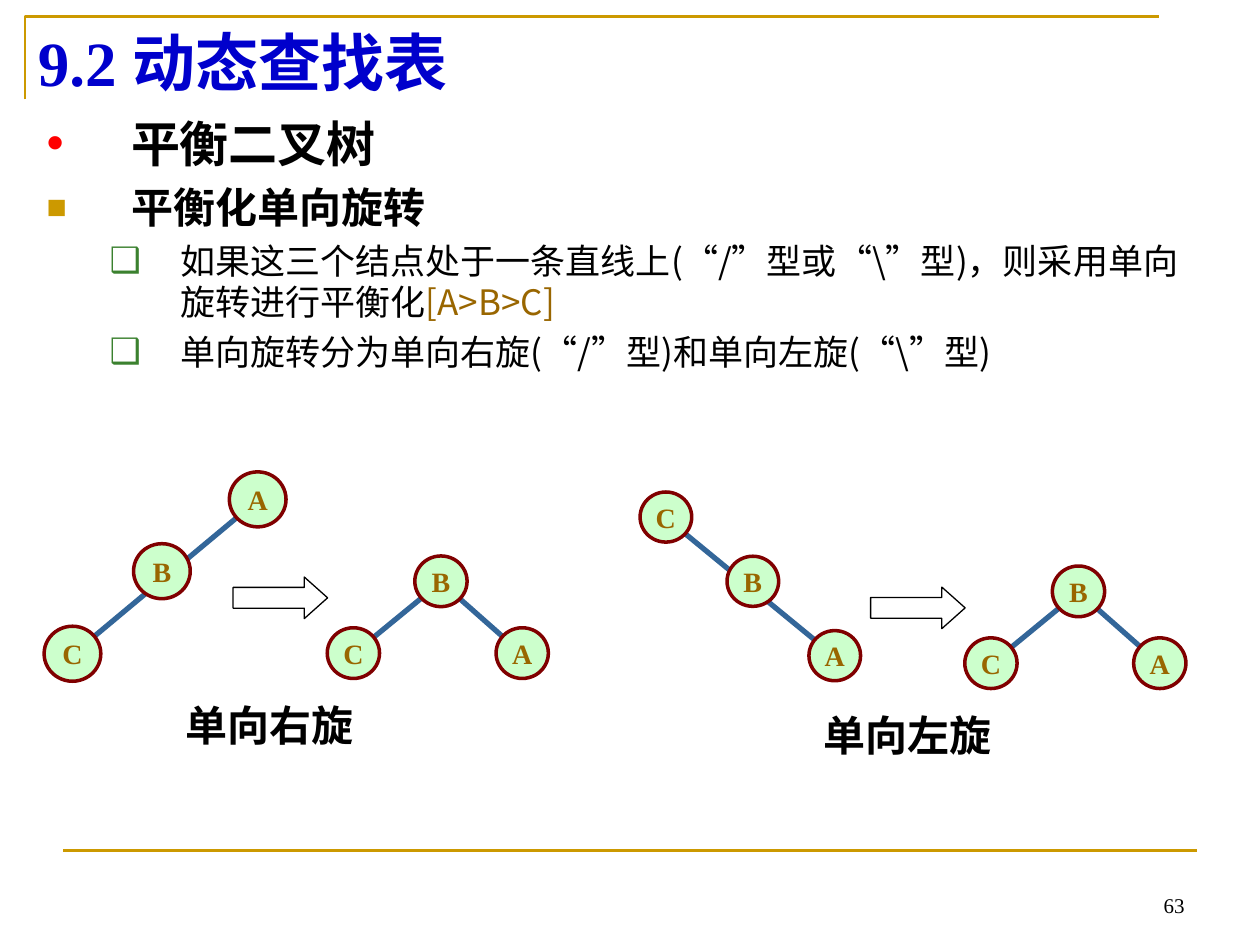
import itertools
import math

import lxml.etree
import pptx
import pptx.dml.color
import pptx.enum.shapes
import pptx.enum.text
import pptx.oxml.ns
import pptx.util

COLORS = {"gold": "CC9900", "black": "000000", "title": "0000CC", "red": "FF0000",
          "green": "3B812F", "brown": "996600", "edge": "336699",
          "node": "CCFFCC", "ring": "800000"}
CJK, SERIF = "Noto Sans CJK SC", "Times New Roman"
SHAPES = pptx.enum.shapes.MSO_SHAPE
ALIGN = pptx.enum.text.PP_ALIGN
ANCHOR = pptx.enum.text.MSO_ANCHOR
COLUMNS, ROWS = 100, 75


def grid(*cells):
    """Convert grid cells of a tenth of an inch to lengths."""
    return [pptx.util.Inches(cell / 10) for cell in cells]


def rgb(name):
    """Return the named colour."""
    return pptx.dml.color.RGBColor.from_string(COLORS[name])


def add_xml(parent, tag, **attributes):
    """Append a drawing element and return it."""
    return lxml.etree.SubElement(parent, pptx.oxml.ns.qn(tag), attributes)


def style(para, size, color, name, bold=True, align=ALIGN.LEFT):
    """Format a whole paragraph."""
    para.alignment = align
    para.font.size = pptx.util.Pt(size)
    para.font.bold = bold
    para.font.color.rgb = rgb(color)
    para.font.name = name
    properties = para._p.get_or_add_pPr().find(pptx.oxml.ns.qn("a:defRPr"))
    add_xml(properties, "a:ea", typeface=CJK)


def outline(shape, color, width):
    """Give a shape a plain line without shadow."""
    shape.line.color.rgb = rgb(color)
    shape.line.width = pptx.util.Pt(width)


def add_line(page, start, end, color, width):
    """Draw a straight line between two grid points."""
    line = page.shapes.add_connector(
        pptx.enum.shapes.MSO_CONNECTOR.STRAIGHT, *grid(*start, *end))
    outline(line, color, width)
    add_xml(line._element.spPr, "a:effectLst")


def add_label(page, box, text, anchor, **format):
    """Place a one-line text box."""
    frame = page.shapes.add_textbox(*grid(*box)).text_frame
    frame.word_wrap = True
    frame.vertical_anchor = anchor
    frame.text = text
    style(frame.paragraphs[0], **format)


def add_frame(page, left, top, width, height):
    """Draw the corner rule around the title and the rule above the footer."""
    corner, right, bottom = grid(left, top), grid(left + width)[0], grid(top + height)[0]
    builder = page.shapes.build_freeform(corner[0], bottom)
    builder.add_line_segments([tuple(corner), (right, corner[1])], close=False)
    rule = builder.convert_to_shape()
    rule.shadow.inherit = False
    rule.fill.background()
    outline(rule, "gold", 1.5)
    add_line(page, (5, 0.9 * ROWS), (COLUMNS - 5, 0.9 * ROWS), "gold", 1.5)


def place(holder, box, anchor):
    """Move a placeholder and return its text frame."""
    holder.left, holder.top, holder.width, holder.height = grid(*box)
    holder.text_frame.vertical_anchor = anchor
    holder.text_frame.auto_size = pptx.enum.text.MSO_AUTO_SIZE.NONE
    return holder.text_frame


def add_title(page, box, text):
    """Fill the title placeholder."""
    frame = place(page.shapes.title, box, ANCHOR.MIDDLE)
    frame.text = text
    style(frame.paragraphs[0], 36, "title", SERIF)


def add_bullet(para, char, color, scale, margin, hanging):
    """Give a paragraph its bullet and hanging indent."""
    properties = para._p.get_or_add_pPr()
    left, indent = grid(margin, -hanging)
    properties.set("marL", str(left))
    properties.set("indent", str(indent))
    add_xml(add_xml(properties, "a:buClr"), "a:srgbClr", val=COLORS[color])
    add_xml(properties, "a:buSzPct", val=str(scale * 1000))
    add_xml(properties, "a:buFont", typeface="Arial")
    add_xml(properties, "a:buChar", char=char)


def add_outline(page, box, items):
    """Fill the body placeholder with headings and points."""
    frame = place(page.placeholders[1], box, ANCHOR.TOP)
    kinds = {"topic": (0, 28, 0, ("•", "red", 100, 6.7, 6.7)),
             "heading": (0, 24, 6, ("■", "gold", 80, 6.7, 6.7)),
             "point": (1, 20, 5, ("❑", "green", 100, 10.6, 5.6))}
    for index, (kind, text, accent) in enumerate(items):
        level, size, before, bullet = kinds[kind]
        para = frame.paragraphs[0] if index == 0 else frame.add_paragraph()
        para.level = level
        add_bullet(para, *bullet)
        para.space_before = pptx.util.Pt(before)
        para.line_spacing = pptx.util.Pt(round(size * 1.17, 1))
        style(para, size, "black", CJK, bold=level == 0)
        for quoted, letters in itertools.groupby(text, lambda letter: letter in "“”"):
            span = para.add_run()
            span.text = "".join(letters)
            if quoted:
                span.font.name = "Arial"
        if accent:
            span = para.add_run()
            span.text = accent
            span.font.color.rgb = rgb("brown")


def add_tree(page, left, top, size, nodes, edges):
    """Draw a tree from node centres given relative to its corner."""
    centers = {name: (left + x, top + y) for name, (x, y) in nodes.items()}
    for start, end in edges:
        (x1, y1), (x2, y2) = centers[start], centers[end]
        trim = 1.5 / math.dist(centers[start], centers[end])
        dx, dy = trim * (x2 - x1), trim * (y2 - y1)
        add_line(page, (x1 + dx, y1 + dy), (x2 - dx, y2 - dy), "edge", 3)
    for name, (x, y) in centers.items():
        node = page.shapes.add_shape(
            SHAPES.OVAL, *grid(x - size / 2, y - size / 2, size, size * 0.97))
        node.shadow.inherit = False
        node.fill.solid()
        node.fill.fore_color.rgb = rgb("node")
        outline(node, "ring", 2)
        frame = node.text_frame
        frame.word_wrap = False
        frame.vertical_anchor = ANCHOR.MIDDLE
        frame.text = name
        style(frame.paragraphs[0], 16, "brown", SERIF, align=ALIGN.CENTER)


def add_rotation(page, left, top, size, before, caption):
    """Draw the tree before and after a rotation, with arrow and caption."""
    add_tree(page, left, top, size, before, ["AC"])
    add_tree(page, left, top, 4.15,
             {"A": (27.95, 7.7), "B": (21.5, 2), "C": (14.55, 7.7)}, ["BA", "BC"])
    arrow = page.shapes.add_shape(SHAPES.RIGHT_ARROW, *grid(left + 5, top + 1.6, 7.5, 3.3))
    arrow.adjustments[0], arrow.adjustments[1] = 0.5, 0.56
    arrow.shadow.inherit = False
    arrow.fill.background()
    outline(arrow, "black", 0.75)
    add_label(page, (left, top + 10.8, 15.8, 5), caption, ANCHOR.MIDDLE,
              size=24, color="black", name="Lato", align=ALIGN.CENTER)


def main():
    """Build the slide."""
    deck = pptx.Presentation()
    deck.slide_width, deck.slide_height = grid(COLUMNS, ROWS)
    page = deck.slides.add_slide(deck.slide_layouts[1])
    add_frame(page, 2, 1.3, 90, 6.6)
    add_title(page, (2, 1.3, 90, 7.1), "9.2 动态查找表")
    add_outline(page, (2.7, 8.6, 92.1, 58.1), [
        ("topic", "平衡二叉树", ""),
        ("heading", "平衡化单向旋转", ""),
        ("point", "如果这三个结点处于一条直线上(“/”型或“\\”型)，则采用单向旋转进行平衡化", "[A>B>C]"),
        ("point", "单向旋转分为单向右旋(“/”型)和单向左旋(“\\”型)", "")])
    add_rotation(page, 13.5, 44.2, 4.5,
                 {"A": (6.95, -4.5), "B": (-0.65, 1.2), "C": (-7.75, 7.75)}, "单向右旋")
    add_rotation(page, 64.1, 45, 4.1,
                 {"A": (2.15, 7.1), "B": (-4.35, 1.2), "C": (-11.25, -3.9)}, "单向左旋")
    add_label(page, (71.7, 68.3, 23.3, 5), "63", ANCHOR.BOTTOM,
              size=12, color="black", name=SERIF, bold=False, align=ALIGN.RIGHT)
    deck.save("out.pptx")


if __name__ == "__main__":
    main()
